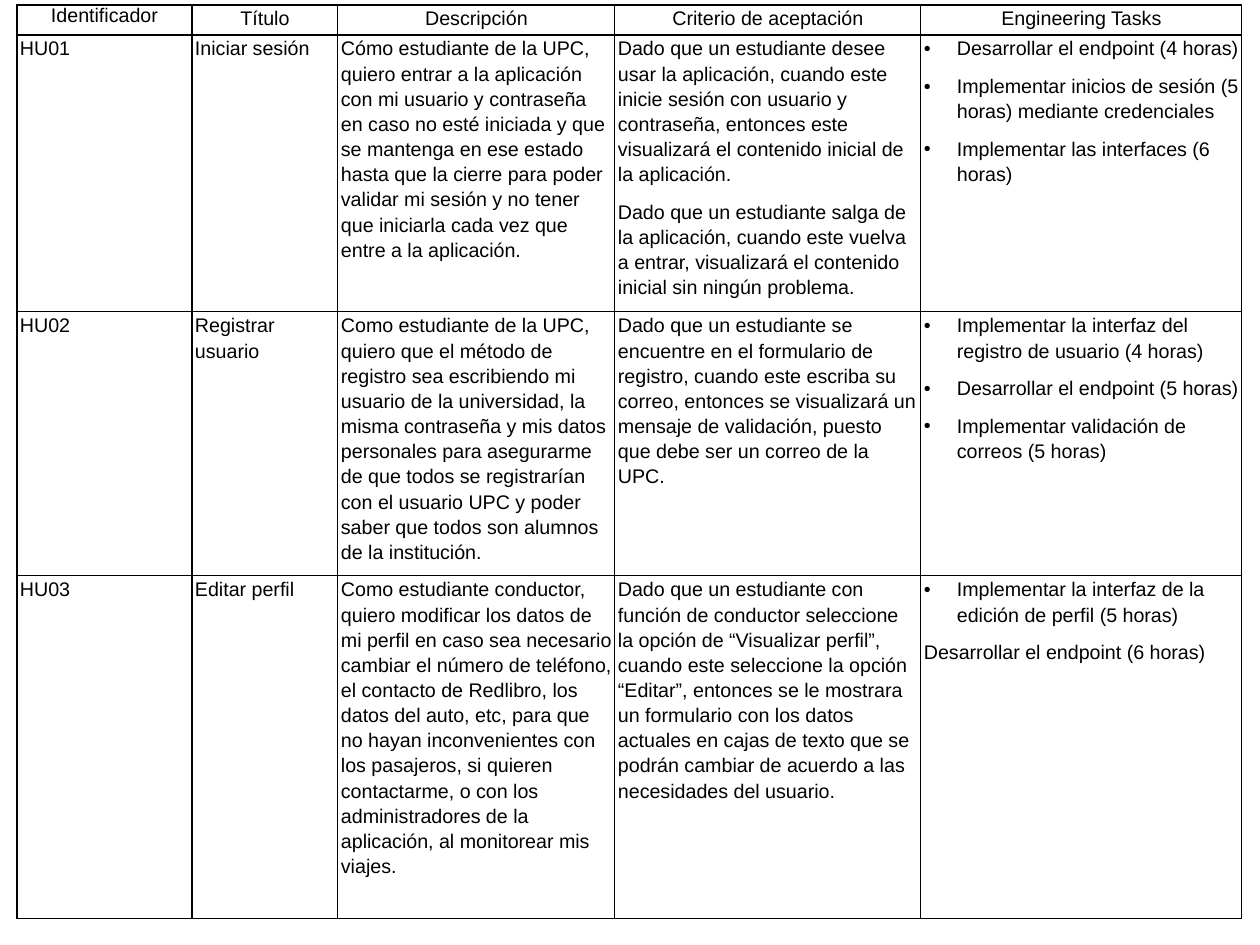
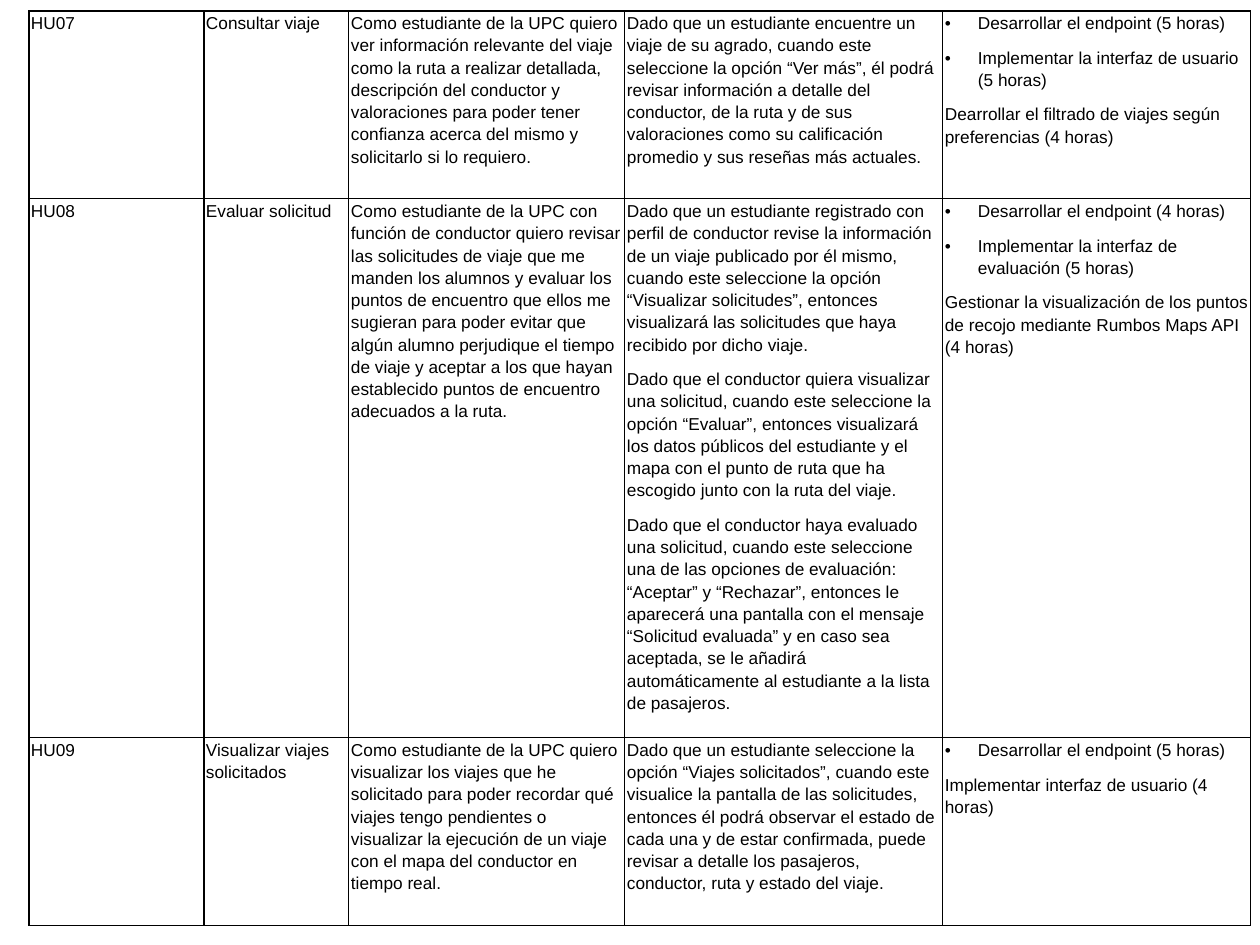
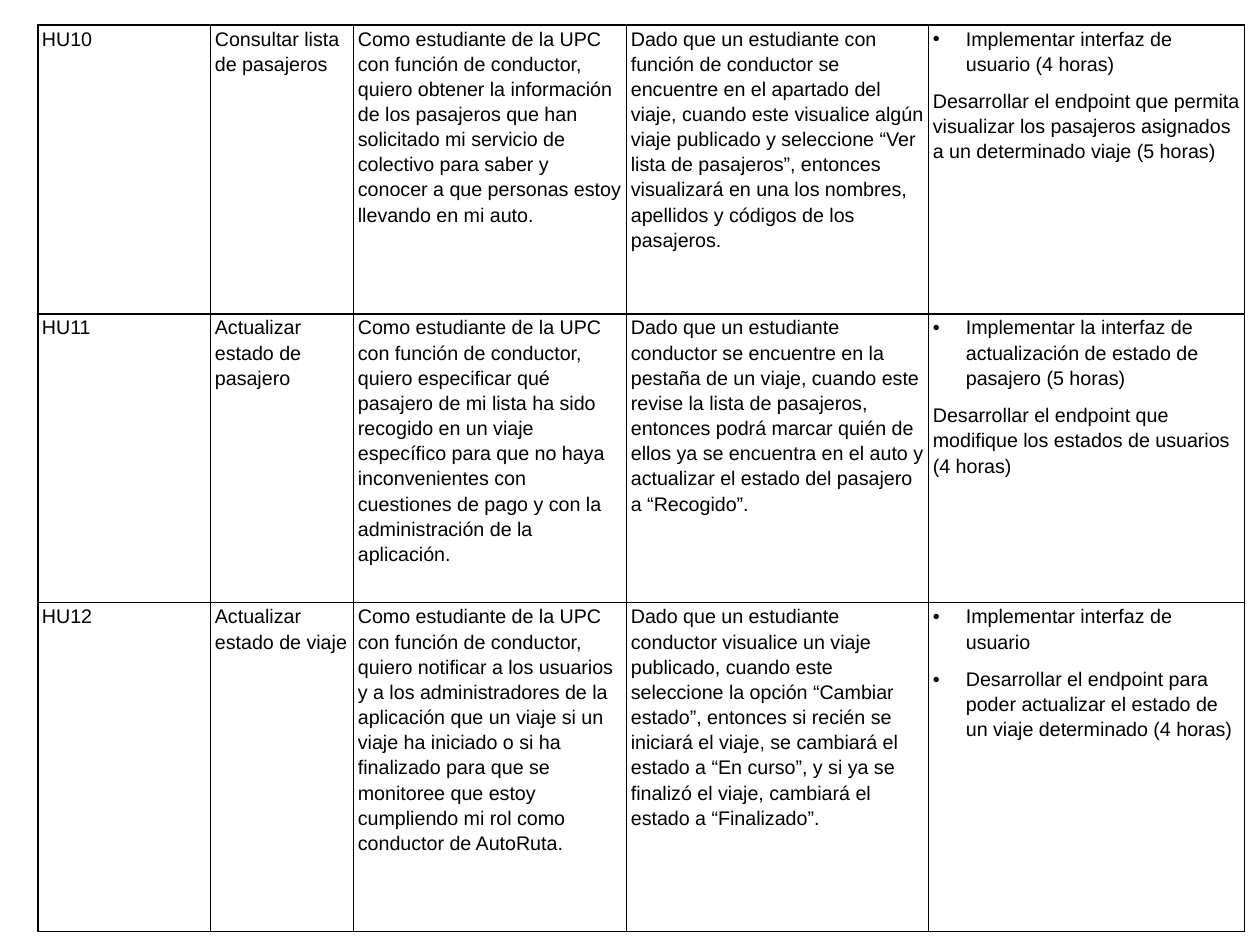
from lxml import etree
from pptx import Presentation
from pptx.dml.color import RGBColor
from pptx.enum.text import PP_ALIGN
from pptx.oxml.ns import qn
from pptx.util import Emu, Pt

PX = 10321
SLIDE_SIZE = (1260, 945)
BLACK = RGBColor(0x00, 0x00, 0x00)
WHITE = RGBColor(0xFF, 0xFF, 0xFF)
CENTER, LEFT = PP_ALIGN.CENTER, PP_ALIGN.LEFT
BULLET = "• "
BULLET_INDENT = 33
BORDER_SIDES = ("a:lnL", "a:lnR", "a:lnT", "a:lnB")

BODY = {"alignment": LEFT, "line_spacing": 1.15, "space_after": Pt(10)}
HEADING = {**BODY, "alignment": CENTER}
FIRST_HEADING = {"alignment": CENTER, "space_after": Pt(12)}

HEADINGS = ("Identificador", "Título", "Descripción", "Criterio de aceptación", "Engineering Tasks")

# In a cell each line is a paragraph; a leading bullet makes it a list item.
ACCOUNT_STORIES = [
    (
        "HU01",
        "Iniciar sesión",
        "Cómo estudiante de la UPC, quiero entrar a la aplicación con mi usuario y contraseña "
        "en caso no esté iniciada y que se mantenga en ese estado hasta que la cierre para poder "
        "validar mi sesión y no tener que iniciarla cada vez que entre a la aplicación.",
        "Dado que un estudiante desee usar la aplicación, cuando este inicie sesión con usuario y "
        "contraseña, entonces este visualizará el contenido inicial de la aplicación.\n"
        "Dado que un estudiante salga de la aplicación, cuando este vuelva a entrar, visualizará "
        "el contenido inicial sin ningún problema.",
        "• Desarrollar el endpoint (4 horas)\n"
        "• Implementar inicios de sesión (5 horas) mediante credenciales\n"
        "• Implementar las interfaces (6 horas)",
    ),
    (
        "HU02",
        "Registrar usuario",
        "Como estudiante de la UPC, quiero que el método de registro sea escribiendo mi usuario "
        "de la universidad, la misma contraseña y mis datos personales para asegurarme de que "
        "todos se registrarían con el usuario UPC y poder saber que todos son alumnos de la "
        "institución.",
        "Dado que un estudiante se encuentre en el formulario de registro, cuando este escriba su "
        "correo, entonces se visualizará un mensaje de validación, puesto que debe ser un correo "
        "de la UPC.",
        "• Implementar la interfaz del registro de usuario (4 horas)\n"
        "• Desarrollar el endpoint (5 horas)\n"
        "• Implementar validación de correos (5 horas)",
    ),
    (
        "HU03",
        "Editar perfil",
        "Como estudiante conductor, quiero modificar los datos de mi perfil en caso sea necesario "
        "cambiar el número de teléfono, el contacto de Redlibro, los datos del auto, etc, para "
        "que no hayan inconvenientes con los pasajeros, si quieren contactarme, o con los "
        "administradores de la aplicación, al monitorear mis viajes.",
        "Dado que un estudiante con función de conductor seleccione la opción de “Visualizar "
        "perfil”, cuando este seleccione la opción “Editar”, entonces se le mostrara un "
        "formulario con los datos actuales en cajas de texto que se podrán cambiar de acuerdo a "
        "las necesidades del usuario.",
        "• Implementar la interfaz de la edición de perfil (5 horas)\n"
        "Desarrollar el endpoint (6 horas)",
    ),
]

TRIP_REQUEST_STORIES = [
    (
        "HU07",
        "Consultar viaje",
        "Como estudiante de la UPC quiero ver información relevante del viaje como la ruta a "
        "realizar detallada, descripción del conductor y valoraciones para poder tener confianza "
        "acerca del mismo y solicitarlo si lo requiero.",
        "Dado que un estudiante encuentre un viaje de su agrado, cuando este seleccione la opción "
        "“Ver más”, él podrá revisar información a detalle del conductor, de la ruta y de sus "
        "valoraciones como su calificación promedio y sus reseñas más actuales.",
        "• Desarrollar el endpoint (5 horas)\n"
        "• Implementar la interfaz de usuario (5 horas)\n"
        "Dearrollar el filtrado de viajes según preferencias (4 horas)",
    ),
    (
        "HU08",
        "Evaluar solicitud",
        "Como estudiante de la UPC con función de conductor quiero revisar las solicitudes de "
        "viaje que me manden los alumnos y evaluar los puntos de encuentro que ellos me sugieran "
        "para poder evitar que algún alumno perjudique el tiempo de viaje y aceptar a los que "
        "hayan establecido puntos de encuentro adecuados a la ruta.",
        "Dado que un estudiante registrado con perfil de conductor revise la información de un "
        "viaje publicado por él mismo, cuando este seleccione la opción “Visualizar solicitudes”, "
        "entonces visualizará las solicitudes que haya recibido por dicho viaje.\n"
        "Dado que el conductor quiera visualizar una solicitud, cuando este seleccione la opción "
        "“Evaluar”, entonces visualizará los datos públicos del estudiante y el mapa con el punto "
        "de ruta que ha escogido junto con la ruta del viaje.\n"
        "Dado que el conductor haya evaluado una solicitud, cuando este seleccione una de las "
        "opciones de evaluación: “Aceptar” y “Rechazar”, entonces le aparecerá una pantalla con "
        "el mensaje “Solicitud evaluada” y en caso sea aceptada, se le añadirá automáticamente al "
        "estudiante a la lista de pasajeros.",
        "• Desarrollar el endpoint (4 horas)\n"
        "• Implementar la interfaz de evaluación (5 horas)\n"
        "Gestionar la visualización de los puntos de recojo mediante Rumbos Maps API (4 horas)",
    ),
    (
        "HU09",
        "Visualizar viajes solicitados",
        "Como estudiante de la UPC quiero visualizar los viajes que he solicitado para poder "
        "recordar qué viajes tengo pendientes o visualizar la ejecución de un viaje con el mapa "
        "del conductor en tiempo real.",
        "Dado que un estudiante seleccione la opción “Viajes solicitados”, cuando este visualice "
        "la pantalla de las solicitudes, entonces él podrá observar el estado de cada una y de "
        "estar confirmada, puede revisar a detalle los pasajeros, conductor, ruta y estado del "
        "viaje.",
        "• Desarrollar el endpoint (5 horas)\n"
        "Implementar interfaz de usuario (4 horas)",
    ),
]

PASSENGER_STORIES = [
    (
        "HU10",
        "Consultar lista de pasajeros",
        "Como estudiante de la UPC con función de conductor, quiero obtener la información de los "
        "pasajeros que han solicitado mi servicio de colectivo para saber y conocer a que "
        "personas estoy llevando en mi auto.",
        "Dado que un estudiante con función de conductor se encuentre en el apartado del viaje, "
        "cuando este visualice algún viaje publicado y seleccione “Ver lista de pasajeros”, "
        "entonces visualizará en una los nombres, apellidos y códigos de los pasajeros.",
        "• Implementar interfaz de usuario (4 horas)\n"
        "Desarrollar el endpoint que permita visualizar los pasajeros asignados a un determinado "
        "viaje (5 horas)",
    ),
    (
        "HU11",
        "Actualizar estado de pasajero",
        "Como estudiante de la UPC con función de conductor, quiero especificar qué pasajero de "
        "mi lista ha sido recogido en un viaje específico para que no haya inconvenientes con "
        "cuestiones de pago y con la administración de la aplicación.",
        "Dado que un estudiante conductor se encuentre en la pestaña de un viaje, cuando este "
        "revise la lista de pasajeros, entonces podrá marcar quién de ellos ya se encuentra en el "
        "auto y actualizar el estado del pasajero a “Recogido”.",
        "• Implementar la interfaz de actualización de estado de pasajero (5 horas)\n"
        "Desarrollar el endpoint que modifique los estados de usuarios (4 horas)",
    ),
    (
        "HU12",
        "Actualizar estado de viaje",
        "Como estudiante de la UPC con función de conductor, quiero notificar a los usuarios y a "
        "los administradores de la aplicación que un viaje si un viaje ha iniciado o si ha "
        "finalizado para que se monitoree que estoy cumpliendo mi rol como conductor de AutoRuta.",
        "Dado que un estudiante conductor visualice un viaje publicado, cuando este seleccione la "
        "opción “Cambiar estado”, entonces si recién se iniciará el viaje, se cambiará el estado "
        "a “En curso”, y si ya se finalizó el viaje, cambiará el estado a “Finalizado”.",
        "• Implementar interfaz de usuario\n"
        "• Desarrollar el endpoint para poder actualizar el estado de un viaje determinado "
        "(4 horas)",
    ),
]


def px(length):
    return Emu(length * PX)


def apply(target, values):
    for attribute, value in values.items():
        setattr(target, attribute, value)


class Backlog:
    """Builds slides of user stories in one shared style."""

    def __init__(self):
        self.deck = Presentation()
        self.deck.slide_width, self.deck.slide_height = map(px, SLIDE_SIZE)
        self.slide = None

    def new_slide(self):
        self.slide = self.deck.slides.add_slide(self.deck.slide_layouts[6])
        self.slide.background.fill.solid()
        self.slide.background.fill.fore_color.rgb = WHITE

    def stories(self, rows, origin, widths, heights, size, inset, has_headings=False):
        frame = self.slide.shapes.add_table(
            len(rows), len(widths), *map(px, (*origin, sum(widths), sum(heights)))
        )
        table = frame.table
        apply(table, {"first_row": False, "horz_banding": False})
        for column, width in zip(table.columns, widths):
            column.width = px(width)
        for row, height in zip(table.rows, heights):
            row.height = px(height)
        for r, texts in enumerate(rows):
            for c, text in enumerate(texts):
                style = BODY
                if has_headings and r == 0:
                    style = HEADING if c else FIRST_HEADING
                self.cell(table.cell(r, c), text, style, size, inset)

    def cell(self, cell, text, style, size, inset):
        side, none = px(inset), px(0)
        apply(cell, {"margin_left": side, "margin_right": side,
                     "margin_top": none, "margin_bottom": none})
        cell.fill.background()
        self.borders(cell)
        for index, line in enumerate(text.split("\n")):
            frame = cell.text_frame
            paragraph = frame.add_paragraph() if index else frame.paragraphs[0]
            if line.startswith(BULLET):
                self.bullet(paragraph)
            apply(paragraph, style)
            run = paragraph.add_run()
            run.text = line.removeprefix(BULLET)
            apply(run.font, {"name": "Arial", "size": Pt(size), "bold": False})
            run.font.color.rgb = BLACK

    def borders(self, cell):
        properties = cell._tc.get_or_add_tcPr()
        for position, side in enumerate(BORDER_SIDES):
            line = etree.Element(qn(side), w=str(Pt(1)))
            fill = etree.SubElement(line, qn("a:solidFill"))
            etree.SubElement(fill, qn("a:srgbClr"), val=str(BLACK))
            properties.insert(position, line)

    def bullet(self, paragraph):
        properties = paragraph._p.get_or_add_pPr()
        properties.set("marL", str(px(BULLET_INDENT)))
        properties.set("indent", str(px(-BULLET_INDENT)))
        etree.SubElement(properties, qn("a:buFont"), typeface="Arial")
        etree.SubElement(properties, qn("a:buChar"), char=BULLET.strip())


def main():
    backlog = Backlog()

    backlog.new_slide()
    backlog.stories([HEADINGS, *ACCOUNT_STORIES], (17, 5), (175, 146, 277, 306, 321),
                    (30, 277, 264, 343), size=16, inset=3, has_headings=True)

    backlog.new_slide()
    backlog.stories(TRIP_REQUEST_STORIES, (29, 11), (175, 145, 276, 318, 308),
                    (188, 539, 188), size=14, inset=2)

    backlog.new_slide()
    backlog.stories(PASSENGER_STORIES, (38, 25), (173, 143, 273, 302, 316),
                    (289, 289, 329), size=16, inset=4)

    backlog.deck.save("out.pptx")


if __name__ == "__main__":
    main()
